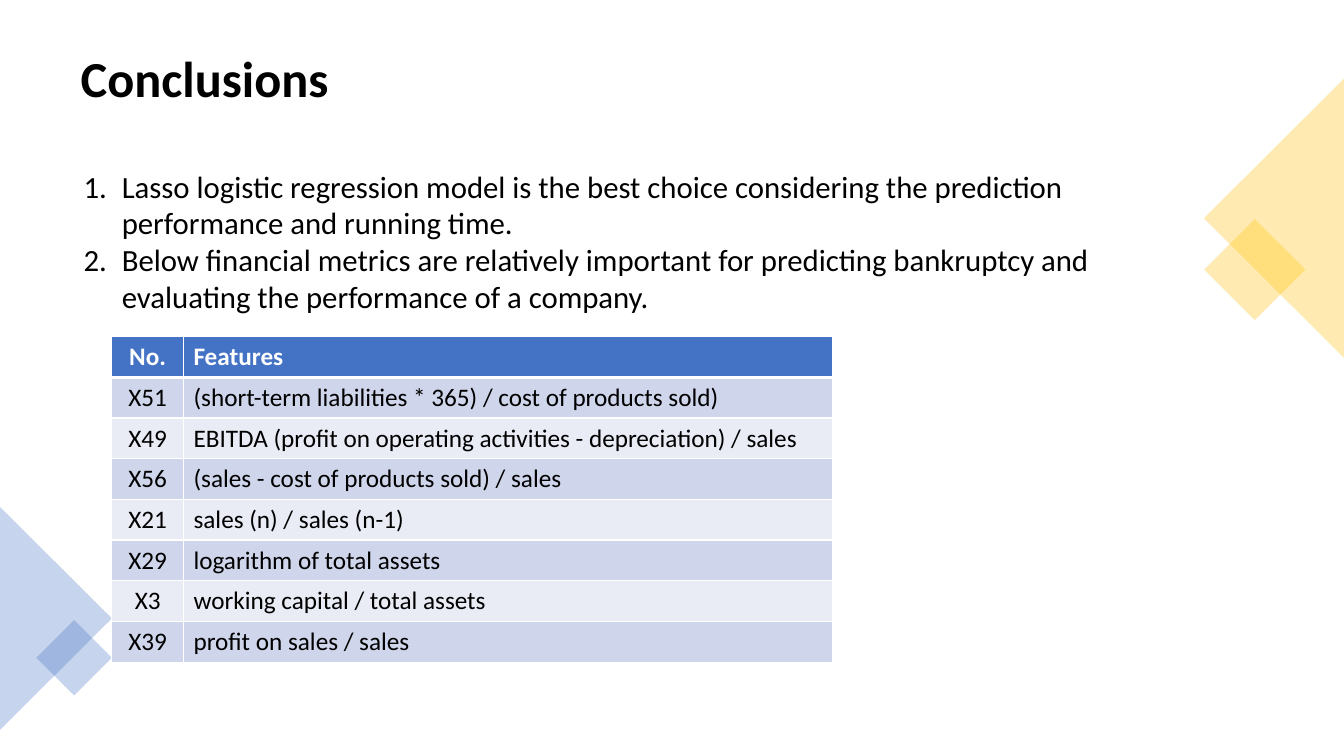
from lxml.etree import SubElement
from pptx import Presentation
from pptx.dml.color import RGBColor
from pptx.enum.shapes import MSO_SHAPE
from pptx.enum.text import MSO_ANCHOR, MSO_AUTO_SIZE, PP_ALIGN
from pptx.oxml.ns import qn
from pptx.util import Inches, Pt

FONT = "Calibri"
BLACK, WHITE, BLUE, GOLD = "000000", "FFFFFF", "4472C4", "FFC000"
BANDS = ["CFD5EA", "E9EBF5"]
POINTS = [
    "Lasso logistic regression model is the best choice considering "
    "the prediction performance and running time.",
    "Below financial metrics are relatively important for predicting "
    "bankruptcy and evaluating the performance of a company.",
]
ROWS = [
    ("No.", "Features"),
    ("X51", "(short-term liabilities * 365) / cost of products sold)"),
    ("X49", "EBITDA (profit on operating activities - depreciation) / sales"),
    ("X56", "(sales - cost of products sold) / sales"),
    ("X21", "sales (n) / sales (n-1)"),
    ("X29", "logarithm of total assets"),
    ("X3", "working capital / total assets"),
    ("X39", "profit on sales / sales"),
]
WIDTHS = [0.71, 6.44]
ROW_H = 3.23 / len(ROWS)


def color(code):
    return RGBColor.from_string(code)


def style(par, size, code=BLACK, bold=False):
    font = par.font
    font.name, font.size, font.bold = FONT, Pt(size), bold
    font.color.rgb = color(code)


def add_title(slide, text):
    title = slide.shapes.title
    title.left, title.top = Inches(0.7), Inches(0.19)
    title.width, title.height = Inches(11.93), Inches(1.24)
    frame = title.text_frame
    frame.text = text
    frame.vertical_anchor = MSO_ANCHOR.MIDDLE
    par = frame.paragraphs[0]
    par.alignment = PP_ALIGN.LEFT
    par.line_spacing = 0.9
    style(par, 36, bold=True)


def add_deco(slide, kind, box, turn, code):
    shape = slide.shapes.add_shape(kind, *map(Inches, box))
    shape.rotation = turn
    shape.shadow.inherit = False
    shape.line.fill.background()
    shape.fill.solid()
    shape.fill.fore_color.rgb = color(code)
    tint = shape.fill._xPr.find(qn("a:solidFill"))[0]
    SubElement(tint, qn("a:alpha"), val="30000")


def add_list(slide, points):
    box = slide.shapes.add_textbox(
        Inches(0.73), Inches(1.61), Inches(10.81), Inches(1.58))
    frame = box.text_frame
    frame.word_wrap = True
    frame.auto_size = MSO_AUTO_SIZE.SHAPE_TO_FIT_TEXT
    frame.text = "\n".join(points)
    for par in frame.paragraphs:
        style(par, 22)
        props = par._p.get_or_add_pPr()
        props.set("marL", str(Inches(0.38)))
        props.set("indent", str(Inches(-0.38)))
        mark = SubElement(props, qn("a:buAutoNum"), type="arabicPeriod")
        props.insert(0, mark)


def add_edges(cell, base):
    props = cell._tc.get_or_add_tcPr()
    sides = [("a:lnL", 1), ("a:lnR", 1), ("a:lnT", 1), ("a:lnB", base)]
    for spot, (side, width) in enumerate(sides):
        line = SubElement(props, qn(side), w=str(Pt(width)))
        fill = SubElement(line, qn("a:solidFill"))
        SubElement(fill, qn("a:srgbClr"), val=WHITE)
        props.insert(spot, line)


def fill_cell(cell, text, row, col):
    head = row == 0
    cell.text = text
    cell.vertical_anchor = MSO_ANCHOR.MIDDLE
    cell.fill.solid()
    cell.fill.fore_color.rgb = color(BLUE if head else BANDS[(row - 1) % 2])
    par = cell.text_frame.paragraphs[0]
    par.alignment = PP_ALIGN.LEFT if col else PP_ALIGN.CENTER
    style(par, 18, WHITE if head else BLACK, head)
    add_edges(cell, 3 if row < 2 and head else 1)
    if row == 1:
        cell._tc.tcPr.find(qn("a:lnT")).set("w", str(Pt(3)))


def add_grid(slide, rows):
    table = slide.shapes.add_table(
        len(rows), len(WIDTHS), Inches(1.11), Inches(3.34),
        Inches(sum(WIDTHS)), Inches(ROW_H * len(rows))).table
    for col, width in zip(table.columns, WIDTHS):
        col.width = Inches(width)
    for row, texts in enumerate(rows):
        table.rows[row].height = Inches(ROW_H)
        for col, text in enumerate(texts):
            fill_cell(table.cell(row, col), text, row, col)


def main():
    deck = Presentation()
    deck.slide_width, deck.slide_height = Inches(13.33), Inches(7.5)
    slide = deck.slides.add_slide(deck.slide_layouts[5])
    add_title(slide, "Conclusions")
    square, wedge = MSO_SHAPE.RECTANGLE, MSO_SHAPE.ISOSCELES_TRIANGLE
    add_deco(slide, square, (12.09, 2.32, 0.71, 0.71), 45, GOLD)
    add_deco(slide, wedge, (11.25, 1.47, 2.77, 1.39), 270, GOLD)
    add_deco(slide, wedge, (-0.55, 5.58, 2.21, 1.11), 90, BLUE)
    add_deco(slide, square, (0.47, 6.26, 0.53, 0.53), 45, BLUE)
    add_list(slide, POINTS)
    add_grid(slide, ROWS)
    deck.save("out.pptx")


main()
